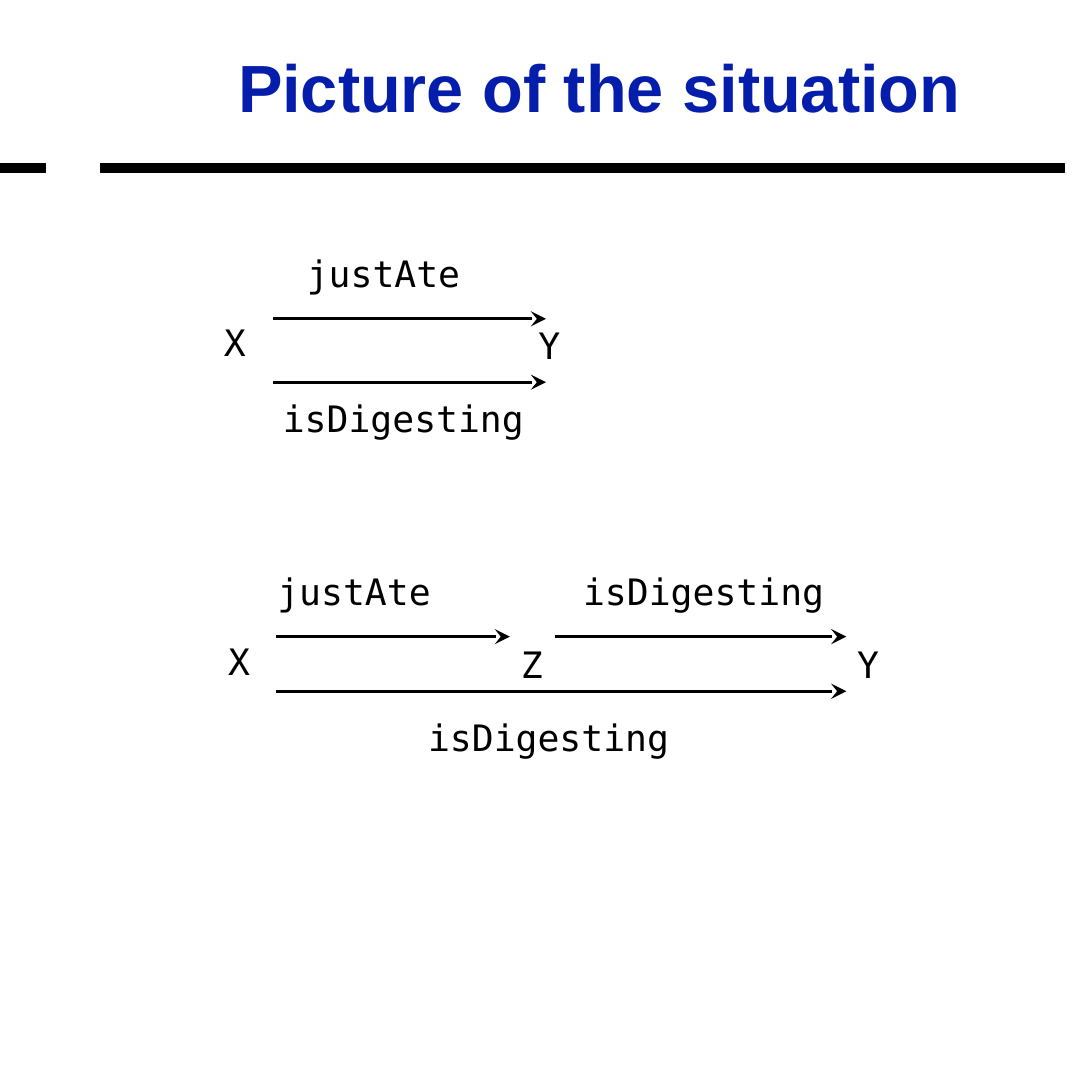
from lxml import etree
from pptx import Presentation
from pptx.dml.color import RGBColor
from pptx.enum.shapes import MSO_CONNECTOR, MSO_SHAPE
from pptx.enum.text import MSO_ANCHOR, MSO_AUTO_SIZE, PP_ALIGN
from pptx.oxml.ns import qn
from pptx.util import Inches, Pt

STRAIGHT = MSO_CONNECTOR.STRAIGHT
RECTANGLE = MSO_SHAPE.RECTANGLE
TOP = MSO_ANCHOR.TOP
NO_RESIZE = MSO_AUTO_SIZE.NONE
LEFT = PP_ALIGN.LEFT
COLORS = {"title": "041DAA", "ink": "000000"}


def write(box, text, font, size, color, bold=False):
    frame = box.text_frame
    frame.word_wrap = True
    frame.auto_size = NO_RESIZE
    frame.vertical_anchor = TOP
    frame.margin_left = frame.margin_right = frame.margin_bottom = 0
    frame.margin_top = Inches(0.01)
    para = frame.paragraphs[0]
    para.alignment = LEFT
    span = para.add_run()
    span.text = text
    span.font.name = font
    span.font.size = Pt(size)
    span.font.bold = bold
    span.font.color.rgb = RGBColor.from_string(COLORS[color])


deck = Presentation()
deck.slide_width = deck.slide_height = Inches(10)
page = deck.slides.add_slide(deck.slide_layouts[5])
ink = RGBColor.from_string(COLORS["ink"])

for left, width in [(0.92, 8.83), (0, 0.42)]:
    bar = page.shapes.add_shape(
        RECTANGLE, Inches(left), Inches(1.5), Inches(width), Inches(0.08))
    bar.shadow.inherit = False
    bar.fill.solid()
    bar.fill.fore_color.rgb = ink
    bar.line.color.rgb = ink
    bar.line.width = Pt(0.75)

title = page.shapes.title
title.left, title.top = Inches(2.18), Inches(0.41)
title.width, title.height = Inches(6.65), Inches(0.76)
write(title, "Picture of the situation", "Arial", 44, "title", bold=True)

arrows = [
    (2.5, 5, 2.92),
    (2.5, 5, 3.5),
    (2.53, 4.67, 5.83),
    (5.08, 7.75, 5.83),
    (2.53, 7.75, 6.33),
]
for start, end, height in arrows:
    arrow = page.shapes.add_connector(
        STRAIGHT, Inches(start), Inches(height), Inches(end), Inches(height))
    arrow.line.color.rgb = ink
    arrow.line.width = Pt(2)
    etree.SubElement(arrow.line._get_or_add_ln(), qn("a:tailEnd"),
                     type="stealth", w="lg", len="lg")
    etree.SubElement(arrow._element.spPr, qn("a:effectLst"))

labels = [
    ("X", 2.05, 2.92),
    ("Y", 4.93, 2.95),
    ("justAte", 2.81, 2.29),
    ("isDigesting", 2.59, 3.62),
    ("X", 2.09, 5.84),
    ("Z", 4.77, 5.87),
    ("Y", 7.85, 5.87),
    ("justAte", 2.54, 5.2),
    ("isDigesting", 5.34, 5.2),
    ("isDigesting", 3.92, 6.54),
]
for text, left, top in labels:
    width = 0.2 * len(text) + 0.04
    box = page.shapes.add_textbox(
        Inches(left), Inches(top), Inches(width), Inches(0.43))
    write(box, text, "DejaVu Sans Mono", 24, "ink")

deck.save("out.pptx")
